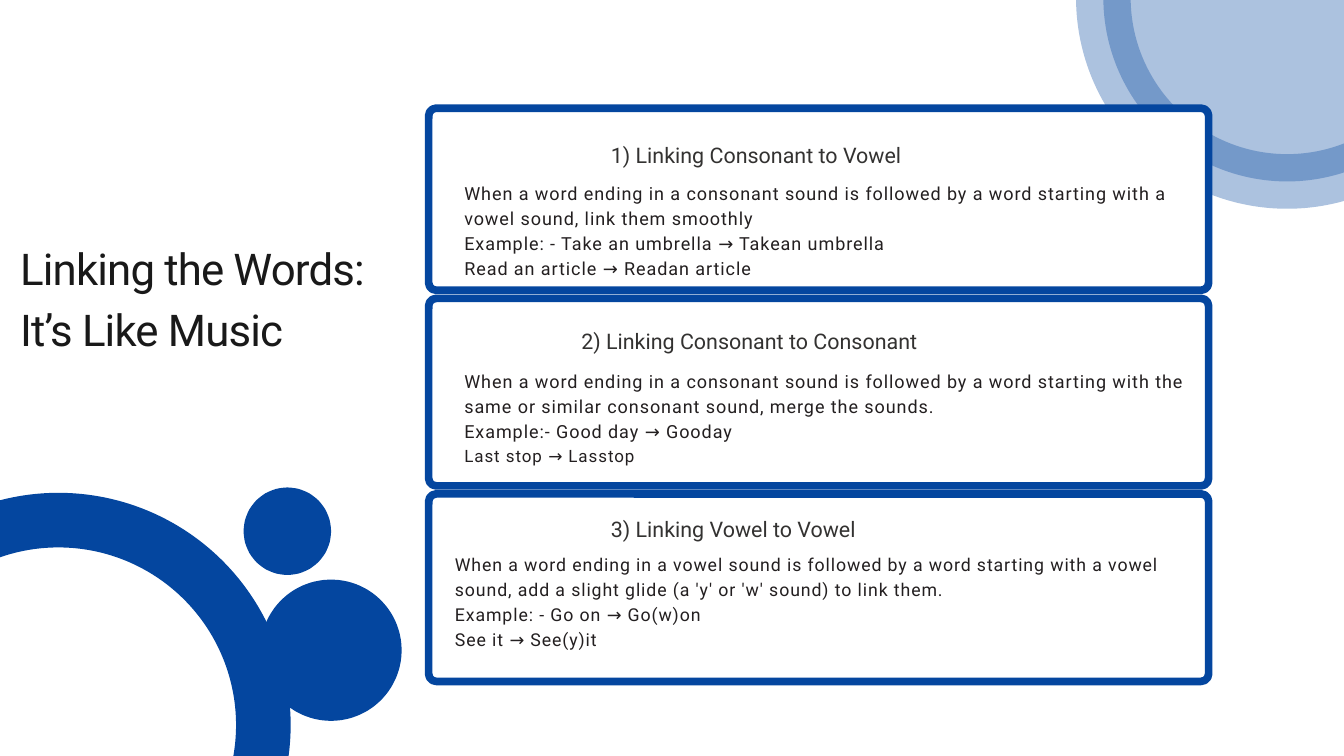
from dataclasses import dataclass
from typing import Optional

from lxml.etree import SubElement
from pptx import Presentation
from pptx.dml.color import RGBColor
from pptx.enum.shapes import MSO_SHAPE
from pptx.oxml.ns import qn
from pptx.util import Pt

BLUE = RGBColor(0x04, 0x46, 0x9F)
WHITE = RGBColor(0xFF, 0xFF, 0xFF)
INK = RGBColor(0x19, 0x19, 0x19)
HEADING = RGBColor(0x33, 0x32, 0x31)
BODY = RGBColor(0x23, 0x1F, 0x20)

FONT = "Roboto"
CARD_LEFT, CARD_WIDTH, CARD_RADIUS = 459.3, 835.7, 8.1
CARD_LINE, RING_LINE = 8.25, 58.5


@dataclass
class Circle:
    left: float
    top: float
    size: float
    filled: bool = True
    opacity: Optional[int] = None  # percent


@dataclass
class Line:
    text: str
    size: float
    leading: float
    tracking: float = 0


@dataclass
class TextBlock:
    left: float
    top: float
    width: float
    height: float
    color: RGBColor
    lines: list[Line]


@dataclass
class Card:
    top: float
    height: float
    heading: TextBlock
    body: TextBlock


def heading(left: float, top: float, text: str) -> TextBlock:
    return TextBlock(left, top, 522.7, 28, HEADING, [Line(text, 23, 29.5)])


def body(left: float, top: float, width: float, size: float, leading: float,
         *texts: str) -> TextBlock:
    lines = [Line(t, size, leading, 1) for t in texts]
    return TextBlock(left, top, width, 104.4, BODY, lines)


CIRCLES = [
    Circle(-157, 557.3, 439.2, filled=False),
    Circle(290.2, 551.5, 35.3),
    Circle(1182.2, -199.4, 393.8, opacity=33),
    Circle(308.2, 650.2, 92.9),
]

TITLE = TextBlock(21.6, 249.1, 477.4, 128.2, INK, [
    Line(t, 46.9, 65.7, -0.9) for t in ("Linking the Words:", "It’s Like Music")])

CARDS = [
    Card(115.9, 195.1,
         heading(654.5, 149.8, "1) Linking Consonant to Vowel"),
         body(497.5, 191.5, 773.3, 19.3, 27,
              "When a word ending in a consonant sound is followed by a word "
              "starting with a vowel sound, link them smoothly",
              "Example: - Take an umbrella → Takean umbrella",
              "Read an article → Readan article")),
    Card(319.7, 200.9,
         heading(622.8, 349.9, "2) Linking Consonant to Consonant"),
         body(497.5, 393.1, 773.3, 19.3, 27,
              "When a word ending in a consonant sound is followed by a word "
              "starting with the same or similar consonant sound, merge the sounds.",
              "Example:- Good day → Gooday")),
    Card(529.2, 200.9,
         heading(654.5, 550.8, "3) Linking Vowel to Vowel"),
         body(487.4, 589.7, 793.4, 19, 26.6,
              "When a word ending in a vowel sound is followed by a word starting "
              "with a vowel sound, add a slight glide (a 'y' or 'w' sound) to link them.",
              "Example: - Go on → Go(w)on",
              "See it → See(y)it")),
]
# The closing example of the second card is set slightly smaller
CARDS[1].body.lines.append(Line("Last stop → Lasstop", 18.2, 25.5, 1))


def add_circle(s, c: Circle) -> None:
    sp = s.shapes.add_shape(MSO_SHAPE.OVAL, Pt(c.left), Pt(c.top), Pt(c.size), Pt(c.size))
    sp.shadow.inherit = False
    sp.line.color.rgb = BLUE
    sp.line.width = Pt(RING_LINE)
    if c.filled:
        sp.fill.solid()
        sp.fill.fore_color.rgb = BLUE
    else:
        sp.fill.background()
    if c.opacity is not None:
        for clr in sp._element.spPr.iter(qn("a:srgbClr")):
            SubElement(clr, qn("a:alpha"), val=str(c.opacity * 1000))


def add_text(s, block: TextBlock) -> None:
    sp = s.shapes.add_textbox(Pt(block.left), Pt(block.top), Pt(block.width), Pt(block.height))
    tf = sp.text_frame
    tf.word_wrap = True
    tf.margin_left = tf.margin_top = tf.margin_right = tf.margin_bottom = 0
    tf.text = "\n".join(line.text for line in block.lines)
    for p, line in zip(tf.paragraphs, block.lines):
        p.line_spacing = Pt(line.leading)
        for r in p.runs:
            r.font.name = FONT
            r.font.size = Pt(line.size)
            r.font.color.rgb = block.color
            if line.tracking:
                r.font._element.set("spc", str(round(line.tracking * 100)))


def add_card(s, card: Card) -> None:
    sp = s.shapes.add_shape(MSO_SHAPE.ROUNDED_RECTANGLE, Pt(CARD_LEFT), Pt(card.top),
                            Pt(CARD_WIDTH), Pt(card.height))
    sp.adjustments[0] = CARD_RADIUS / card.height
    sp.shadow.inherit = False
    sp.fill.solid()
    sp.fill.fore_color.rgb = WHITE
    sp.line.color.rgb = BLUE
    sp.line.width = Pt(CARD_LINE)
    add_text(s, card.heading)
    add_text(s, card.body)


def main() -> None:
    prs = Presentation()
    prs.slide_width, prs.slide_height = Pt(1440), Pt(810)
    s = prs.slides.add_slide(prs.slide_layouts[6])

    # Title
    add_text(s, TITLE)
    # Corner circles
    for circle in CIRCLES:
        add_circle(s, circle)
    # Linking rules
    for card in CARDS:
        add_card(s, card)

    prs.save("out.pptx")


if __name__ == "__main__":
    main()
